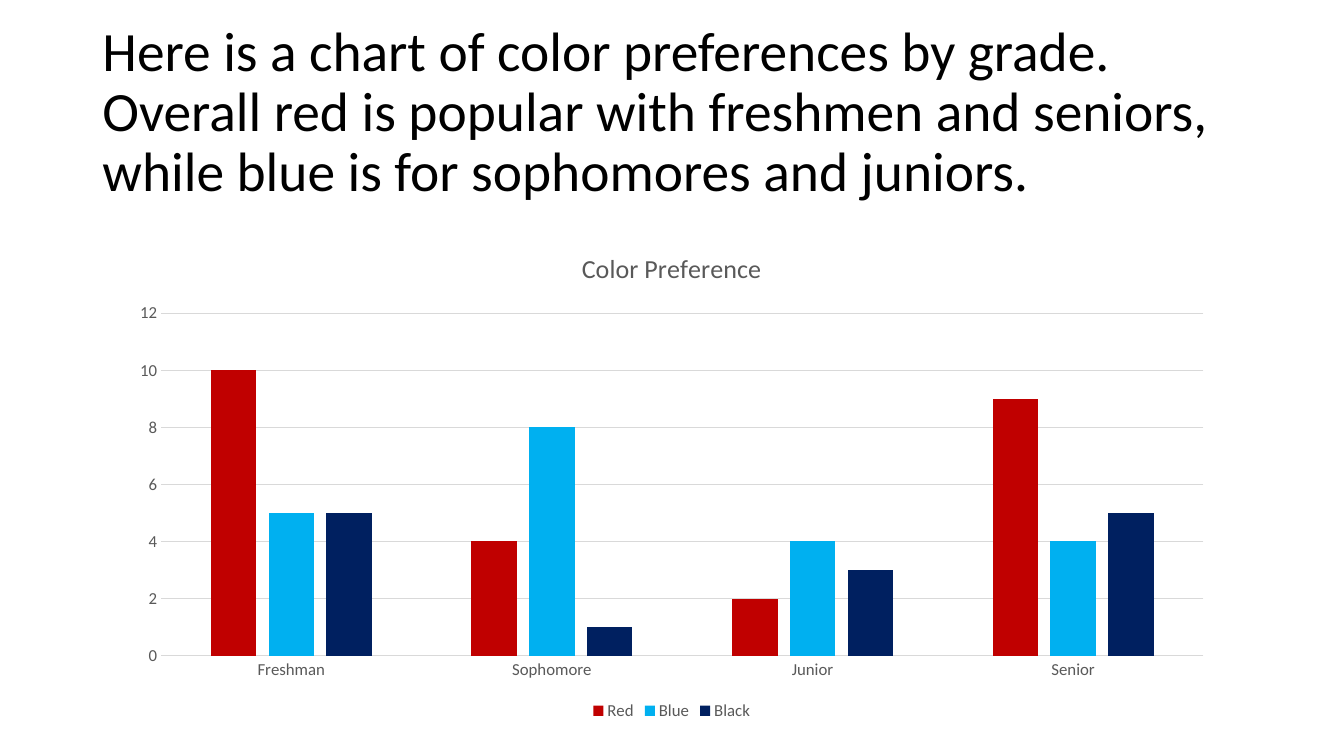
from pptx import Presentation
from pptx.chart.data import CategoryChartData
from pptx.dml.color import RGBColor
from pptx.enum.chart import XL_CHART_TYPE as ChartType
from pptx.enum.chart import XL_LEGEND_POSITION as LegendPosition
from pptx.enum.chart import XL_TICK_MARK as TickMark
from pptx.enum.text import MSO_ANCHOR as Anchor
from pptx.enum.text import MSO_AUTO_SIZE as AutoSize
from pptx.enum.text import PP_ALIGN as Align
from pptx.util import Pt

FONT = "Calibri"
GRAY_TEXT = "595959"
GRAY_LINE = "D9D9D9"
TITLE = (
    "Here is a chart of color preferences by grade. Overall red is popular "
    "with freshmen and seniors, while blue is for sophomores and juniors."
)
GRADES = ["Freshman", "Sophomore", "Junior", "Senior"]
PREFERENCES = [
    ("Red", "C00000", (10, 4, 2, 9)),
    ("Blue", "00B0F0", (5, 8, 4, 4)),
    ("Black", "002060", (5, 1, 3, 5)),
]


def color(hex_value):
    return RGBColor.from_string(hex_value)


def format_font(font, size, hex_value):
    font.name = FONT
    font.size = Pt(size)
    font.bold = False
    font.color.rgb = color(hex_value)


def format_line(line):
    line.color.rgb = color(GRAY_LINE)
    line.width = Pt(0.75)


def fill_title(title):
    title.left, title.top = Pt(66), Pt(28.8)
    title.width, title.height = Pt(828), Pt(104.4)
    text_frame = title.text_frame
    text_frame.text = TITLE
    text_frame.word_wrap = True
    text_frame.auto_size = AutoSize.NONE
    text_frame.vertical_anchor = Anchor.MIDDLE
    paragraph = text_frame.paragraphs[0]
    paragraph.alignment = Align.LEFT
    paragraph.line_spacing = 0.9
    format_font(paragraph.runs[0].font, 39.6, "000000")


def format_axes(chart):
    for axis in (chart.category_axis, chart.value_axis):
        axis.major_tick_mark = axis.minor_tick_mark = TickMark.NONE
        format_font(axis.tick_labels.font, 12, GRAY_TEXT)
    format_line(chart.category_axis.format.line)
    value_axis = chart.value_axis
    value_axis.minimum_scale, value_axis.maximum_scale = 0, 12
    value_axis.major_unit = 2
    value_axis.format.line.fill.background()
    format_line(value_axis.major_gridlines.format.line)


def add_preference_chart(slide):
    data = CategoryChartData()
    data.categories = GRADES
    for name, _, values in PREFERENCES:
        data.add_series(name, values)
    chart = slide.shapes.add_chart(
        ChartType.COLUMN_CLUSTERED, Pt(84.2), Pt(164.2), Pt(791.3), Pt(353.5), data
    ).chart
    format_font(chart.font, 10, "000000")

    chart.has_title = True
    chart_title = chart.chart_title
    chart_title.include_in_layout = False
    chart_title.text_frame.text = "Color Preference"
    format_font(chart_title.text_frame.paragraphs[0].runs[0].font, 18.6, GRAY_TEXT)

    chart.has_legend = True
    chart.legend.position = LegendPosition.BOTTOM
    chart.legend.include_in_layout = False
    format_font(chart.legend.font, 12, GRAY_TEXT)

    plot = chart.plots[0]
    plot.gap_width, plot.overlap = 219, -27
    plot.vary_by_categories = False
    for series, (_, hex_value, _) in zip(plot.series, PREFERENCES):
        series.invert_if_negative = False
        series.format.fill.solid()
        series.format.fill.fore_color.rgb = color(hex_value)
    format_axes(chart)


def main():
    presentation = Presentation()
    presentation.slide_width, presentation.slide_height = Pt(960), Pt(540)
    slide = presentation.slides.add_slide(presentation.slide_layouts[5])
    fill_title(slide.shapes.title)
    add_preference_chart(slide)
    presentation.save("out.pptx")


if __name__ == "__main__":
    main()
